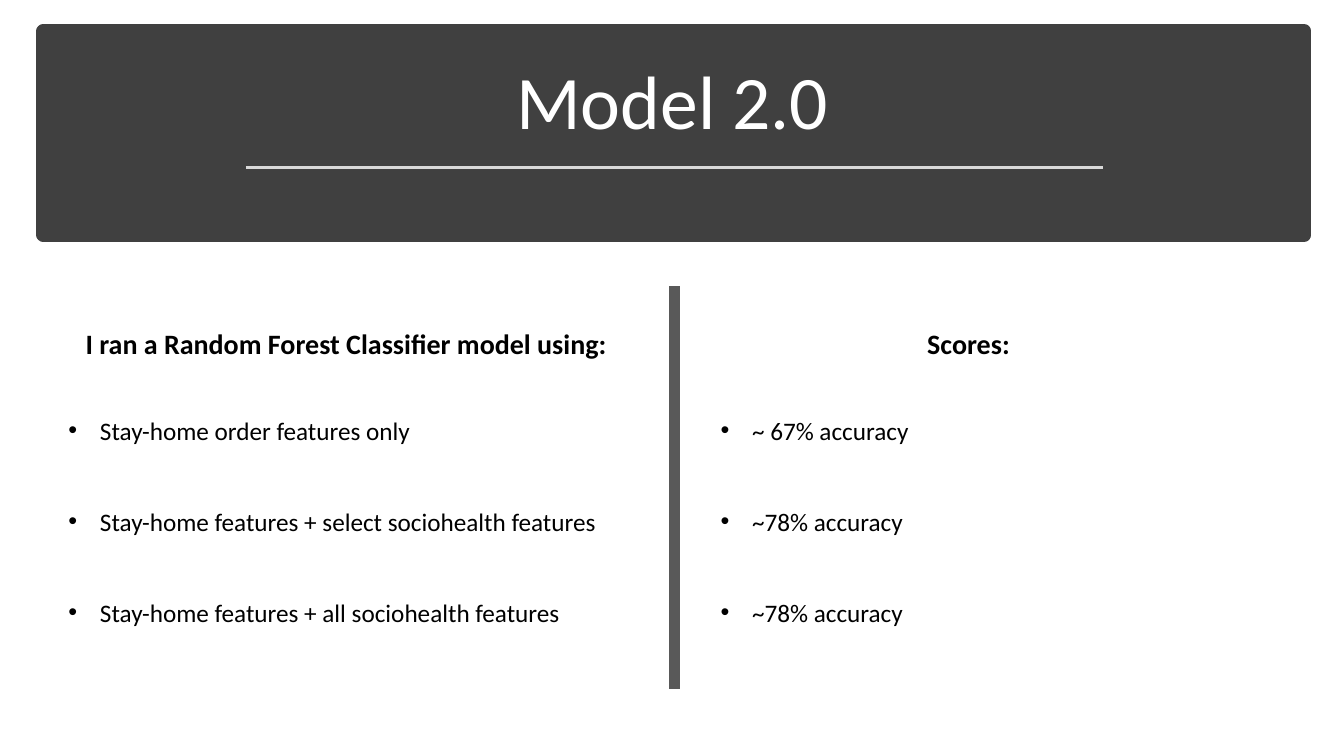
"""Build the Model 2.0 slide, setting feature sets beside their scores."""
from dataclasses import dataclass

from lxml import etree
from pptx import Presentation
from pptx.dml.color import RGBColor
from pptx.enum.shapes import MSO_CONNECTOR, MSO_SHAPE
from pptx.enum.text import MSO_ANCHOR, MSO_AUTO_SIZE, PP_ALIGN
from pptx.oxml.ns import qn
from pptx.slide import Slide
from pptx.text.text import TextFrame
from pptx.util import Pt

RECTANGLE = MSO_SHAPE.RECTANGLE
STRAIGHT = MSO_CONNECTOR.STRAIGHT
LEFT, CENTER = PP_ALIGN.LEFT, PP_ALIGN.CENTER
TOP, BOTTOM = MSO_ANCHOR.TOP, MSO_ANCHOR.BOTTOM
NO_AUTOFIT = MSO_AUTO_SIZE.NONE

FONT = "Calibri"
COLORS = {
    "banner": "404040",
    "title": "FFFFFF",
    "underline": "D9D9D9",
    "divider": "595959",
    "text": "000000",
}
BULLET_INDENT = Pt(22.5)
BULLET_GAP = 43.3
HEADING_TOP, HEADING_HEIGHT = 229.7, 31.5
LIST_TOP, LIST_WIDTH, LIST_HEIGHT = 293, 420, 160


@dataclass(frozen=True)
class Rule:
    """A straight line between two points."""

    start: tuple[float, float]
    end: tuple[float, float]
    color: str
    weight: float


@dataclass(frozen=True)
class Column:
    """A heading above a bulleted list."""

    heading: str
    heading_left: float
    heading_width: float
    list_left: float
    items: tuple[str, ...]


RULES = (
    Rule((175.7, 119.5), (787.7, 119.5), "underline", 1.75),
    Rule((481.7, 204.5), (481.7, 492.5), "divider", 8),
)
COLUMNS = (
    Column(
        "I ran a Random Forest Classifier model using:", 54, 394.6, 41.8,
        (
            "Stay-home order features only",
            "Stay-home features + select sociohealth features",
            "Stay-home features + all sociohealth features",
        ),
    ),
    Column(
        "Scores:", 655.2, 78.5, 507.6,
        ("~ 67% accuracy", "~78% accuracy", "~78% accuracy"),
    ),
)


def rgb(name: str) -> RGBColor:
    """Return the named colour."""
    return RGBColor.from_string(COLORS[name])


def write_text(
    frame: TextFrame,
    lines: tuple[str, ...],
    *,
    size: float,
    color: str = "text",
    bold: bool = False,
    align: PP_ALIGN = LEFT,
    anchor: MSO_ANCHOR = TOP,
    wrap: bool = True,
    line_spacing: float = 1.0,
    gap: float = 0,
    bullets: bool = False,
) -> None:
    """Fill a text frame with one formatted paragraph per line."""
    frame.word_wrap = wrap
    frame.auto_size = NO_AUTOFIT
    frame.vertical_anchor = anchor
    for index, line in enumerate(lines):
        paragraph = frame.paragraphs[0] if index == 0 else frame.add_paragraph()
        paragraph.alignment = align
        paragraph.line_spacing = line_spacing
        paragraph.space_before = Pt(gap if index else 0)
        run = paragraph.add_run()
        run.text = line
        run.font.name = FONT
        run.font.size = Pt(size)
        run.font.bold = bold
        run.font.color.rgb = rgb(color)
        if bullets:
            properties = paragraph._p.get_or_add_pPr()
            properties.set("marL", str(BULLET_INDENT))
            properties.set("indent", str(-BULLET_INDENT))
            etree.SubElement(properties, qn("a:buFont"), typeface="Arial")
            etree.SubElement(properties, qn("a:buChar"), char="•")


def add_title_banner(slide: Slide) -> None:
    """Place the title on a dark banner."""
    banner = slide.shapes.add_shape(RECTANGLE, Pt(31), Pt(22.3), Pt(900.7), Pt(145.4))
    banner.shadow.inherit = False
    banner.fill.solid()
    banner.fill.fore_color.rgb = rgb("banner")
    banner.line.color.rgb = rgb("banner")
    banner.line.width = Pt(10)
    title = slide.shapes.title
    title.left, title.top, title.width, title.height = Pt(41.8), Pt(34.6), Pt(877), Pt(73.4)
    title.element.addprevious(banner.element)
    write_text(title.text_frame, ("Model 2.0",), size=54, color="title",
               align=CENTER, anchor=BOTTOM, line_spacing=0.9)


def add_rule(slide: Slide, rule: Rule) -> None:
    """Draw a straight line without a shadow."""
    points = [Pt(value) for value in (*rule.start, *rule.end)]
    connector = slide.shapes.add_connector(STRAIGHT, *points)
    connector.line.color.rgb = rgb(rule.color)
    connector.line.width = Pt(rule.weight)
    etree.SubElement(connector.element.spPr, qn("a:effectLst"))


def add_column(slide: Slide, column: Column) -> None:
    """Add a column's heading and bulleted list."""
    heading = slide.shapes.add_textbox(
        Pt(column.heading_left), Pt(HEADING_TOP), Pt(column.heading_width), Pt(HEADING_HEIGHT))
    write_text(heading.text_frame, (column.heading,), size=20, bold=True, wrap=False)
    bullet_list = slide.shapes.add_textbox(
        Pt(column.list_left), Pt(LIST_TOP), Pt(LIST_WIDTH), Pt(LIST_HEIGHT))
    write_text(bullet_list.text_frame, column.items, size=18, gap=BULLET_GAP, bullets=True)


def main() -> None:
    """Build and save the presentation."""
    presentation = Presentation()
    presentation.slide_width, presentation.slide_height = Pt(960), Pt(540)
    slide = presentation.slides.add_slide(presentation.slide_layouts.get_by_name("Title Only"))
    add_title_banner(slide)
    for rule in RULES:
        add_rule(slide, rule)
    for column in COLUMNS:
        add_column(slide, column)
    presentation.save("out.pptx")


if __name__ == "__main__":
    main()
